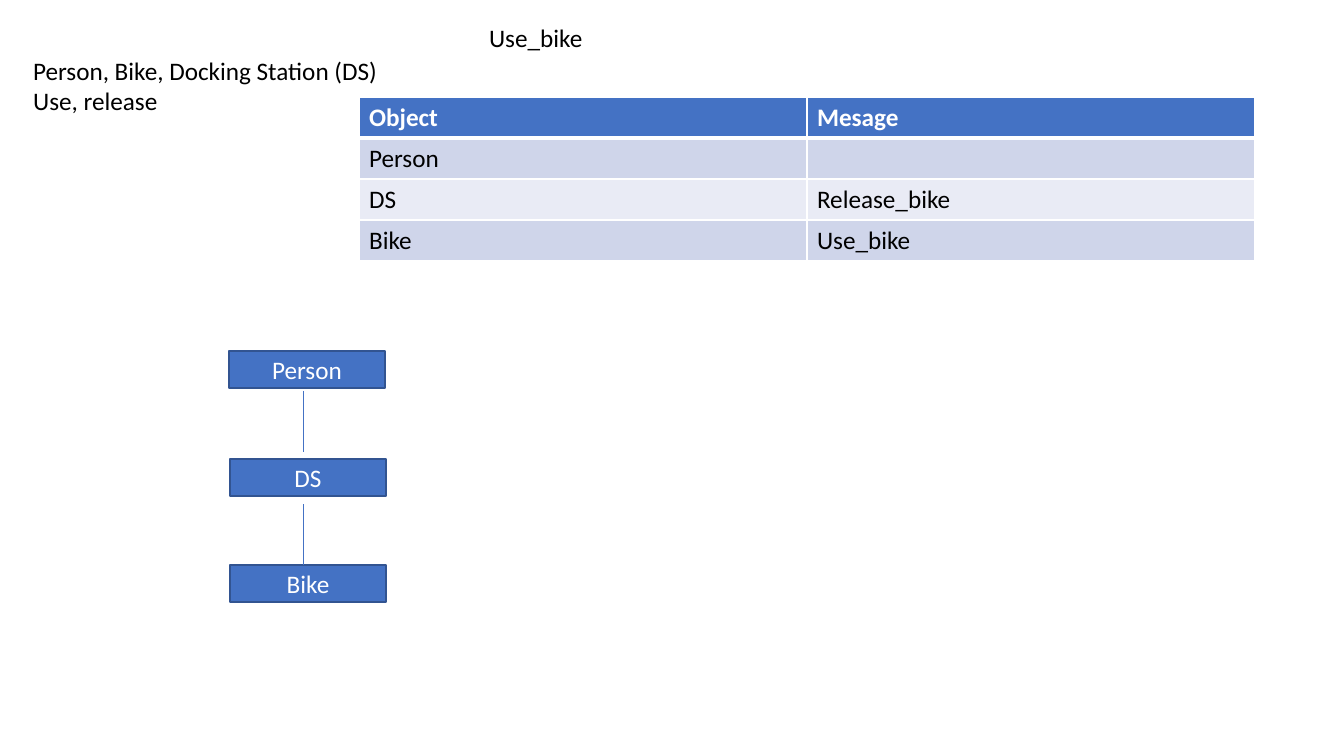
from lxml.etree import SubElement
from pptx import Presentation
from pptx.dml.color import RGBColor
from pptx.enum.shapes import MSO_CONNECTOR, MSO_SHAPE
from pptx.enum.text import MSO_ANCHOR, MSO_AUTO_SIZE, PP_ALIGN
from pptx.oxml.ns import qn
from pptx.util import Emu, Pt

EMU_PER_PX = 914400 / 100.8


def px(*lengths):
    return [Emu(round(length * EMU_PER_PX)) for length in lengths]


def color(hex_text):
    return RGBColor.from_string(hex_text)


class SlideBuilder:
    font, size = "Calibri", 18
    black, white = "000000", "FFFFFF"
    blue, outline = "4472C4", "325491"
    bands = ("CFD5EA", "E9EBF5")

    def __init__(self, slide):
        self.slide = slide

    def set_text(self, frame, text, text_color, align=PP_ALIGN.LEFT, bold=False):
        frame.text = text
        for para in frame.paragraphs:
            para.alignment = align
            para.space_before = Pt(0)
            for span in para.runs:
                span.font.name = self.font
                span.font.size = Pt(self.size)
                span.font.bold = bold
                span.font.color.rgb = color(text_color)

    def placeholder(self, holder, text, bounds, wrap):
        holder.left, holder.top, holder.width, holder.height = px(*bounds)
        frame = holder.text_frame
        self.set_text(frame, text, self.black)
        frame.word_wrap = wrap
        frame.auto_size = MSO_AUTO_SIZE.NONE
        frame.vertical_anchor = MSO_ANCHOR.TOP
        for para in frame.paragraphs:
            properties = para._p.get_or_add_pPr()
            properties.set("marL", "0")
            properties.set("indent", "0")
            SubElement(properties, qn("a:buNone"))

    def border(self, cell, side, points):
        properties = cell._tc.get_or_add_tcPr()
        line = SubElement(properties, qn(f"a:ln{side}"), w=str(Pt(points)))
        fill = SubElement(line, qn("a:solidFill"))
        SubElement(fill, qn("a:srgbClr"), val=self.white)

    def table(self, rows, left, top, column_width, row_height):
        row_count, column_count = len(rows), len(rows[0])
        bounds = px(left, top, column_width * column_count, row_height * row_count)
        table = self.slide.shapes.add_table(row_count, column_count, *bounds).table
        for row_index, row in enumerate(rows):
            header = row_index == 0
            fill = self.blue if header else self.bands[(row_index - 1) % 2]
            for column_index, text in enumerate(row):
                cell = table.cell(row_index, column_index)
                top_width = 3 if row_index == 1 else 1
                bottom_width = 3 if header else 1
                for side, points in zip("LRTB", (1, 1, top_width, bottom_width)):
                    self.border(cell, side, points)
                cell.fill.solid()
                cell.fill.fore_color.rgb = color(fill)
                text_color = self.white if header else self.black
                self.set_text(cell.text_frame, text, text_color, bold=header)

    def box(self, text, *bounds):
        box = self.slide.shapes.add_shape(MSO_SHAPE.RECTANGLE, *px(*bounds))
        box.shadow.inherit = False
        box.fill.solid()
        box.fill.fore_color.rgb = color(self.blue)
        box.line.color.rgb = color(self.outline)
        box.line.width = Pt(1)
        box.text_frame.vertical_anchor = MSO_ANCHOR.MIDDLE
        self.set_text(box.text_frame, text, self.white, PP_ALIGN.CENTER)

    def line(self, *ends):
        line = self.slide.shapes.add_connector(MSO_CONNECTOR.STRAIGHT, *px(*ends))
        line.line.color.rgb = color(self.blue)
        line.line.width = Pt(0.5)
        SubElement(line._element.spPr, qn("a:effectLst"))


def main():
    deck = Presentation()
    deck.slide_width, deck.slide_height = px(1344, 756)
    page = deck.slides.add_slide(deck.slide_layouts[1])
    builder = SlideBuilder(page)

    # Title and list of nouns and verbs
    builder.placeholder(page.shapes.title, "Use_bike", (479, 17, 320, 40), True)
    builder.placeholder(page.placeholders[1],
                        "Person, Bike, Docking Station (DS)\nUse, release",
                        (23, 50, 369, 163), False)

    # Objects and their messages
    messages = [("Object", "Mesage"), ("Person", ""),
                ("DS", "Release_bike"), ("Bike", "Use_bike")]
    builder.table(messages, 359, 97, 448, 41)

    # Chain of objects
    for name, left, top in (("Person", 229, 351), ("DS", 230, 459), ("Bike", 230, 565)):
        builder.box(name, left, top, 156, 37)
    for top in (391, 504):
        builder.line(303, top, 303, top + 61)

    deck.save("out.pptx")


if __name__ == "__main__":
    main()
